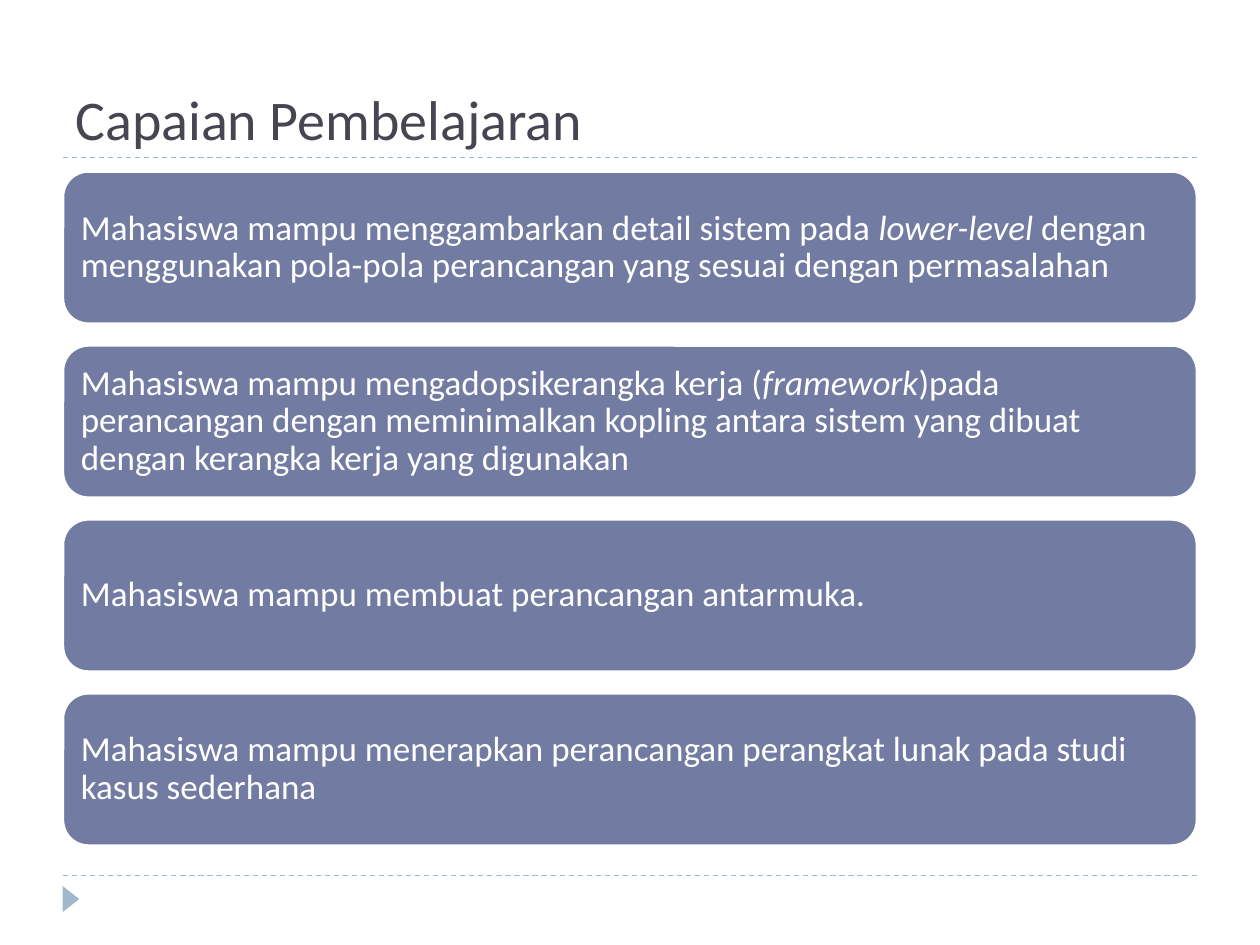
from lxml import etree
from pptx import Presentation
from pptx.dml.color import RGBColor
from pptx.enum import dml, shapes, text
from pptx.oxml.ns import qn
from pptx.util import Pt

COLORS = {"accent": "9FB8CD", "card": "727CA3", "title": "464653", "white": "FFFFFF"}
LEFT, WIDTH = 36, 648
CARD_TOP, CARD_HEIGHT, CARD_PITCH = 98, 87, 99.4

# Each outcome is a list of (wording, italic) pieces.
OUTCOMES = [
    [("Mahasiswa mampu menggambarkan detail sistem pada ", False),
     ("lower-level ", True),
     ("dengan menggunakan pola-pola perancangan yang sesuai dengan permasalahan", False)],
    [("Mahasiswa mampu mengadopsikerangka kerja (", False),
     ("framework", True),
     (")pada perancangan dengan meminimalkan kopling antara sistem yang dibuat "
      "dengan kerangka kerja yang digunakan", False)],
    [("Mahasiswa mampu membuat perancangan antarmuka.", False)],
    [("Mahasiswa mampu menerapkan perancangan perangkat lunak pada studi kasus sederhana",
      False)],
]


def color(name):
    return RGBColor.from_string(COLORS[name])


def apply_format(target, values):
    for name, value in values.items():
        setattr(target, name, value)


def write_text(frame, pieces, size, color_name, frame_format, paragraph_format):
    apply_format(frame, {"word_wrap": True, **frame_format})
    paragraph = frame.paragraphs[0]
    apply_format(paragraph, {"alignment": text.PP_ALIGN.LEFT, **paragraph_format})
    for wording, italic in pieces:
        run = paragraph.add_run()
        run.text = wording
        apply_format(run.font, {"name": "Calibri", "size": Pt(size), "italic": italic})
        run.font.color.rgb = color(color_name)


def add_rule(slide, y):
    rule = slide.shapes.add_connector(
        shapes.MSO_CONNECTOR.STRAIGHT, Pt(LEFT), Pt(y), Pt(LEFT + WIDTH), Pt(y))
    rule.line.color.rgb = color("accent")
    apply_format(rule.line, {"width": Pt(0.75), "dash_style": dml.MSO_LINE.DASH})
    etree.SubElement(rule._element.spPr, qn("a:effectLst"))


def add_filled_shape(slide, kind, left, top, width, height, fill):
    shape = slide.shapes.add_shape(kind, Pt(left), Pt(top), Pt(width), Pt(height))
    shape.shadow.inherit = False
    shape.fill.solid()
    shape.fill.fore_color.rgb = color(fill)
    return shape


def add_marker(slide):
    marker = add_filled_shape(
        slide, shapes.MSO_SHAPE.ISOSCELES_TRIANGLE, 33, 509, 15, 9.5, "accent")
    marker.rotation = 90
    marker.line.fill.background()


def add_title(slide, wording):
    title = slide.shapes.add_textbox(Pt(LEFT), Pt(12), Pt(WIDTH), Pt(78))
    write_text(title.text_frame, [(wording, False)], 32, "title",
               {"vertical_anchor": text.MSO_ANCHOR.BOTTOM}, {})


def add_outcome(slide, top, pieces):
    card = add_filled_shape(
        slide, shapes.MSO_SHAPE.ROUNDED_RECTANGLE, LEFT, top, WIDTH, CARD_HEIGHT, "card")
    card.line.color.rgb = color("white")
    card.line.width = Pt(1.5)
    margins = {f"margin_{side}": Pt(6) for side in ("left", "top", "right", "bottom")}
    write_text(card.text_frame, pieces, 20, "white",
               {"vertical_anchor": text.MSO_ANCHOR.MIDDLE, **margins},
               {"line_spacing": 0.9})


def main():
    deck = Presentation()
    apply_format(deck, {"slide_width": Pt(720), "slide_height": Pt(540)})
    slide = deck.slides.add_slide(deck.slide_layouts[6])
    for y in (500.4, 90):
        add_rule(slide, y)
    add_marker(slide)
    add_title(slide, "Capaian Pembelajaran")
    for row, pieces in enumerate(OUTCOMES):
        add_outcome(slide, CARD_TOP + row * CARD_PITCH, pieces)
    deck.save("out.pptx")


if __name__ == "__main__":
    main()
